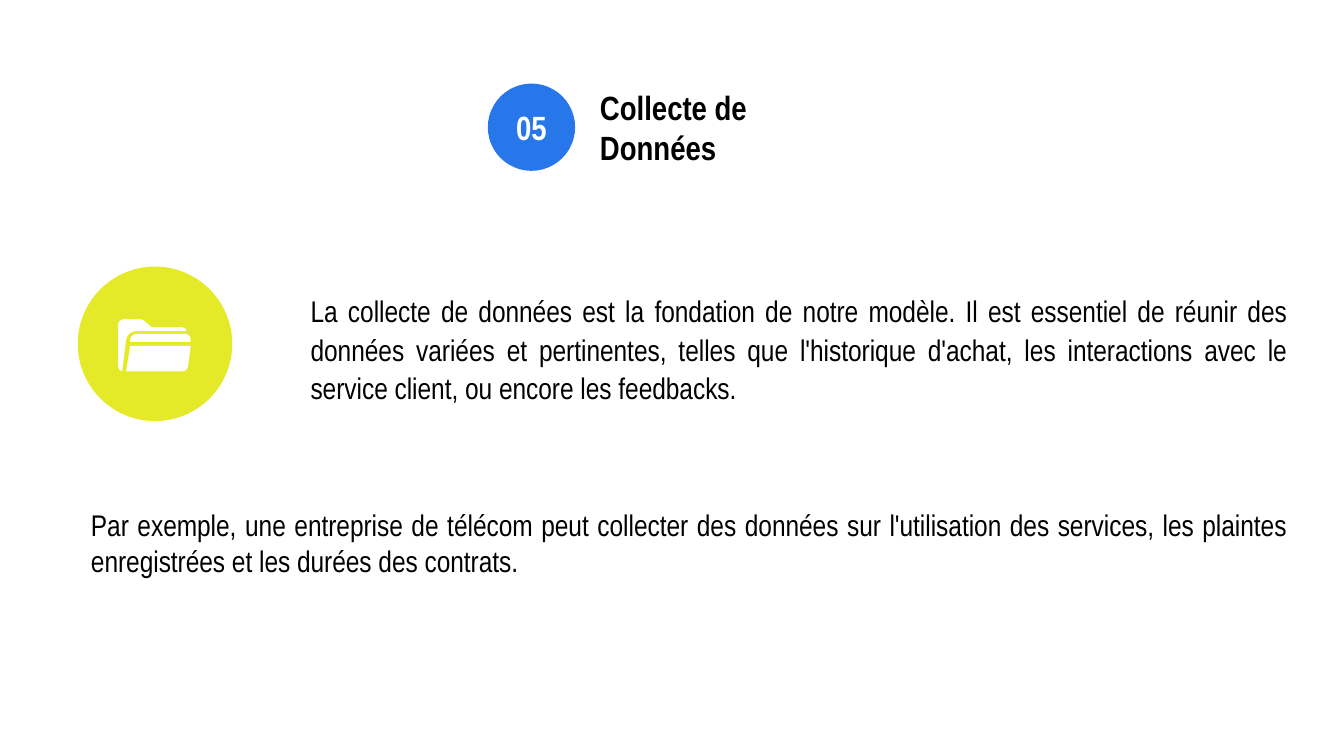
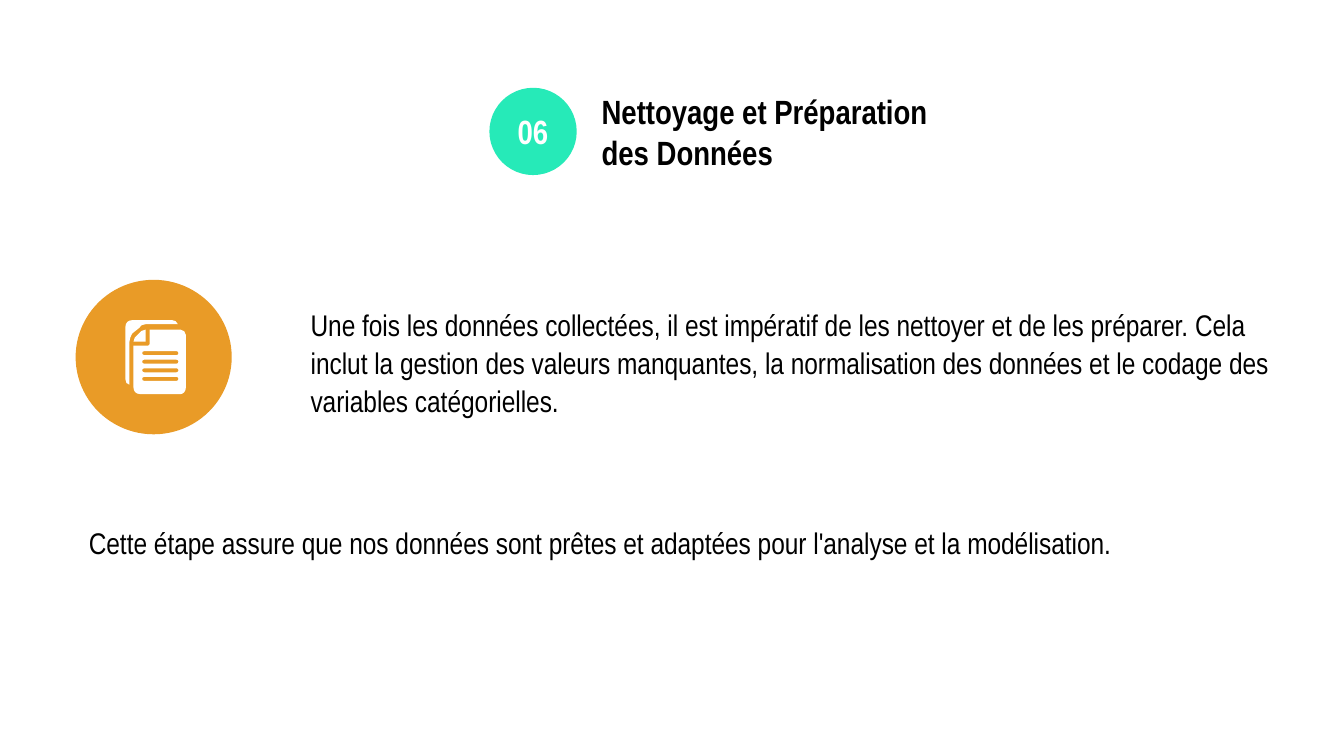
import pptx
import pptx.dml.color
import pptx.enum.shapes
import pptx.enum.text
import pptx.oxml.ns
import pptx.util
import lxml.etree

Cm = pptx.util.Cm
Pt = pptx.util.Pt
RGBColor = pptx.dml.color.RGBColor
Align = pptx.enum.text.PP_ALIGN
Anchor = pptx.enum.text.MSO_ANCHOR
qualified = pptx.oxml.ns.qn

BLACK = RGBColor(0x00, 0x00, 0x00)
WHITE = RGBColor(0xFF, 0xFF, 0xFF)
BLUE = RGBColor(0x27, 0x76, 0xEA)
MINT = RGBColor(0x26, 0xEA, 0xB8)
YELLOW = RGBColor(0xE4, 0xEA, 0x27)
ORANGE = RGBColor(0xE9, 0x9B, 0x27)

FONT = "Arial Narrow"
BODY_SIZE = Pt(16)
HEADING_SIZE = Pt(18)
INSET = Cm(0.25)
BADGE_SIZE = Cm(1.65)
HEADING_OFFSET = Cm(1.87)
DISC_HEIGHT = Cm(2.92)
TITLE_LEFT = Cm(5.62)
TITLE_DROP = Cm(0.08)
ICON_UNIT = Cm(2.54) / 100

FOLDER_ICON = [
    [[(44, 50), (42, 50, 39, 52, 39, 54), (39, 56), (84, 56), (84, 55),
      (85, 53, 82, 50, 80, 50)]],
    [[(39, 59), (36, 78), (77, 78), (78, 78, 78, 78, 79, 78),
      (80, 77, 82, 76, 82, 75), (84, 59)]],
    [[(35, 39), (32, 39, 30, 41, 30, 43), (30, 74), (30, 76, 31, 77, 33, 78),
      (36, 54), (37, 50, 40, 48, 44, 48), (81, 48), (81, 46, 79, 45, 77, 45),
      (55, 45), (49, 40), (48, 39, 48, 39, 47, 39)]],
]


def text_line_hole(top):
    bottom = top + 3
    return [(75, top), (77, top, 77, bottom, 75, bottom), (51, bottom),
            (49, bottom, 49, top, 51, top)]


DOCUMENT_ICON = [
    [[(42, 30), (39, 30, 37, 32, 37, 35), (37, 74), (37, 76, 38, 78, 40, 78),
      (40, 46), (40, 44, 41, 42, 42, 40), (47, 36), (48, 34, 50, 33, 52, 33),
      (76, 33), (75, 31, 74, 30, 72, 30)]],
    [text_line_hole(53 + 6.4 * row) for row in range(4)]
    + [[(55, 37), (55, 48), (55, 49, 55, 49, 54, 49), (43, 49), (43, 80),
        (43, 83, 45, 85, 48, 85), (78, 85), (80, 85, 82, 83, 82, 80),
        (82, 41), (82, 39, 80, 37, 78, 37)]],
    [[(52, 37), (51, 37, 50, 37, 49, 38), (44, 43), (44, 44, 43, 45, 43, 46),
      (52, 46)]],
]


def paint(shape, color):
    shape.shadow.inherit = False
    shape.fill.solid()
    shape.fill.fore_color.rgb = color
    shape.line.fill.background()


def write(shape, text, size, color=BLACK, bold=False, align=Align.LEFT):
    frame = shape.text_frame
    frame.word_wrap = True
    paragraph = frame.paragraphs[0]
    paragraph.alignment = align
    run = paragraph.add_run()
    run.text = text
    run.font.name = FONT
    run.font.size = size
    run.font.bold = bold
    run.font.color.rgb = color
    return paragraph


def center_in_frame(shape):
    frame = shape.text_frame
    frame.auto_size = pptx.enum.text.MSO_AUTO_SIZE.NONE
    frame.vertical_anchor = Anchor.MIDDLE
    frame.margin_left = frame.margin_right = INSET
    frame.margin_top = frame.margin_bottom = INSET


def add_disc(shapes, left, top, width, height, color):
    disc = shapes.add_shape(pptx.enum.shapes.MSO_SHAPE.OVAL, left, top, width, height)
    paint(disc, color)
    return disc


def add_heading(slide, left, top, number, color, text, width, height):
    group = slide.shapes.add_group_shape()
    text_top = top + (BADGE_SIZE - height) // 2
    heading = group.shapes.add_textbox(left + HEADING_OFFSET, text_top, width, height)
    center_in_frame(heading)
    write(heading, text, HEADING_SIZE, bold=True)
    badge = add_disc(group.shapes, left, top, BADGE_SIZE, BADGE_SIZE, color)
    center_in_frame(badge)
    write(badge, number, HEADING_SIZE, WHITE, True, Align.CENTER)


def contour_points(contour):
    return [(step[index] * ICON_UNIT, step[index + 1] * ICON_UNIT)
            for step in contour for index in range(0, len(step), 2)]


def bend_curves(shape, contours):
    segments = shape.element.iter(qualified("a:lnTo"))
    lines = iter(list(segments))
    for contour in contours:
        for step in contour[1:]:
            line = next(lines)
            if len(step) == 2:
                continue
            curve = lxml.etree.Element(qualified("a:cubicBezTo"))
            line.addprevious(curve)
            for control in (line, next(lines), next(lines)):
                curve.append(control[0])
                control.getparent().remove(control)


def add_icon(slide, left, top, width, color, outlines):
    add_disc(slide.shapes, left, top, width, DISC_HEIGHT, color)
    group = slide.shapes.add_group_shape()
    for contours in outlines:
        builder = None
        for contour in contours:
            points = contour_points(contour)
            if builder is None:
                builder = group.shapes.build_freeform(*points[0])
            else:
                builder.move_to(*points[0])
            builder.add_line_segments(points[1:], close=True)
        outline = builder.convert_to_shape(left, top)
        bend_curves(outline, contours)
        paint(outline, WHITE)


def place_title(slide, top, width, height, text, align):
    title = slide.shapes.title
    title.left, title.top, title.width, title.height = TITLE_LEFT, top, width, height
    center_in_frame(title)
    paragraph = write(title, text, BODY_SIZE, align=align)
    paragraph.line_spacing = 1.07
    paragraph.space_before = Pt(0)
    paragraph.space_after = Pt(8)


def add_step_slide(presentation, heading, icon, title, title_height, closing,
                   closing_box, align):
    slide = presentation.slides.add_slide(presentation.slide_layouts[5])
    left, top, width, height = closing_box
    icon_top, icon_width, icon_color, outlines = icon
    title_top = icon_top + (DISC_HEIGHT - title_height) // 2 + TITLE_DROP
    place_title(slide, title_top, left + width - TITLE_LEFT, title_height, title, align)
    add_heading(slide, *heading)
    add_icon(slide, left, icon_top, icon_width, icon_color, outlines)
    closing_text = slide.shapes.add_textbox(left, top, width, height)
    write(closing_text, closing, BODY_SIZE, align=align)


def main():
    presentation = pptx.Presentation()
    presentation.slide_width = Cm(25.4)
    presentation.slide_height = Cm(14.29)
    add_step_slide(
        presentation,
        (Cm(9.22), Cm(1.58), "05", BLUE, "Collecte de Données", Cm(5.51), Cm(0.91)),
        (Cm(5.04), Cm(2.92), YELLOW, FOLDER_ICON),
        "La collecte de données est la fondation de notre modèle. Il est essentiel de "
        "réunir des données variées et pertinentes, telles que l'historique d'achat, "
        "les interactions avec le service client, ou encore les feedbacks. ",
        Cm(3.43),
        "Par exemple, une entreprise de télécom peut collecter des données sur "
        "l'utilisation des services, les plaintes enregistrées et les durées des contrats.",
        (Cm(1.47), Cm(9.45), Cm(23.13), Cm(1.63)),
        Align.JUSTIFY,
    )
    add_step_slide(
        presentation,
        (Cm(9.25), Cm(1.66), "06", MINT, "Nettoyage et Préparation des Données",
         Cm(7.11), Cm(1.35)),
        (Cm(5.29), Cm(2.95), ORANGE, DOCUMENT_ICON),
        "Une fois les données collectées, il est impératif de les nettoyer et de les "
        "préparer. Cela inclut la gestion des valeurs manquantes, la normalisation des "
        "données et le codage des variables catégorielles.",
        Cm(2.92),
        "Cette étape assure que nos données sont prêtes et adaptées pour l'analyse et "
        "la modélisation.",
        (Cm(1.43), Cm(9.8), Cm(23.47), Cm(0.94)),
        Align.LEFT,
    )
    presentation.save("out.pptx")


if __name__ == "__main__":
    main()
